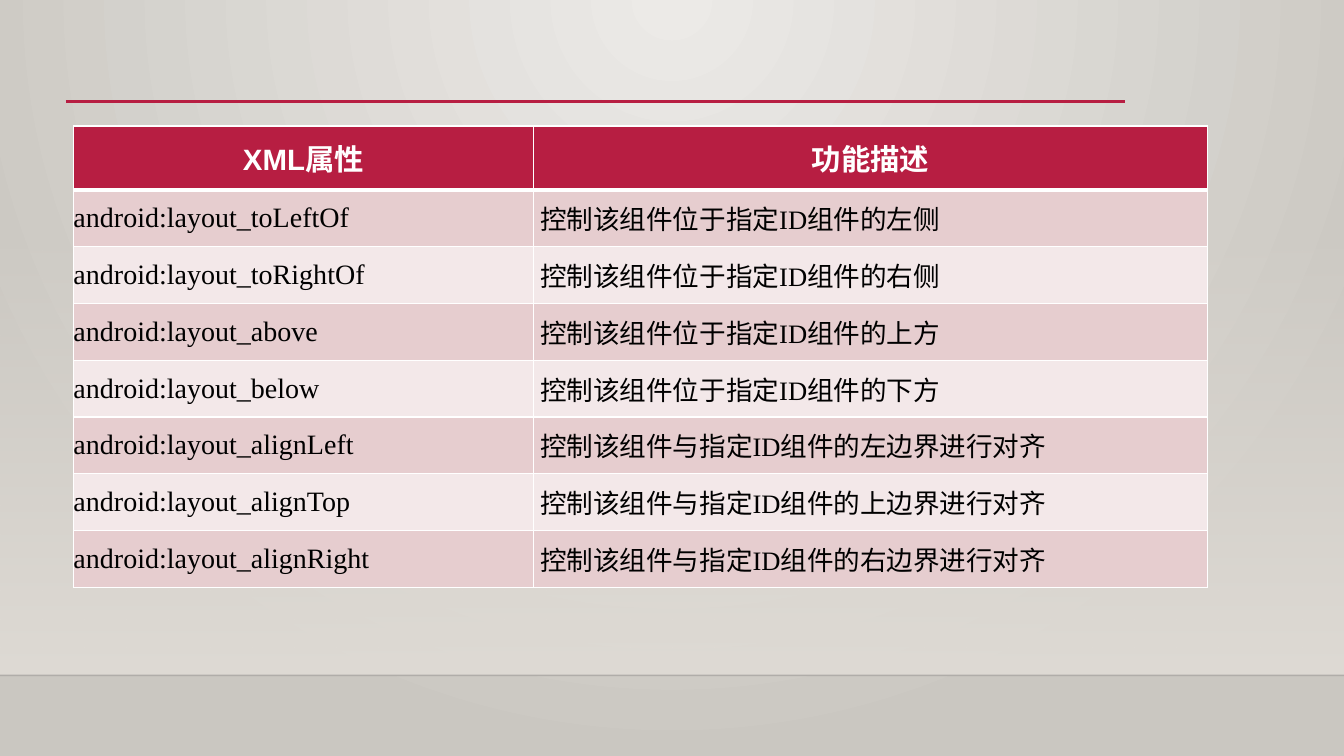
import pptx
import pptx.dml.color
import pptx.enum.shapes
import pptx.enum.text
import pptx.oxml
import pptx.oxml.ns
import pptx.util
from lxml import etree

Pt = pptx.util.Pt
qn = pptx.oxml.ns.qn
NAMESPACE = pptx.oxml.ns.nsdecls("a")
ALIGN = pptx.enum.text.PP_ALIGN


def set_colour(target, value):
    target.rgb = pptx.dml.color.RGBColor.from_string(value)


def replace_gradient(fill, parent, stops, direction):
    fill.gradient()
    stop_xml = "".join(
        f'<a:gs pos="{position}"><a:srgbClr val="{value}"><a:alpha val="{alpha}"/></a:srgbClr></a:gs>'
        for position, value, alpha in stops
    )
    gradient = pptx.oxml.parse_xml(
        f'<a:gradFill {NAMESPACE} rotWithShape="1"><a:gsLst>{stop_xml}</a:gsLst>{direction}</a:gradFill>'
    )
    old = next(parent.iter(qn("a:gradFill")))
    old.getparent().replace(old, gradient)


presentation = pptx.Presentation()
presentation.slide_width = Pt(960)
presentation.slide_height = Pt(540)
slide = presentation.slides.add_slide(presentation.slide_layouts[6])

replace_gradient(
    slide.background.fill,
    slide.element,
    [(0, "ECEAE7", 100000), (100000, "CAC7C1", 100000)],
    '<a:path path="circle"><a:fillToRect l="43000" t="0" r="43000" b="100000"/></a:path>',
)

wall = slide.shapes.add_shape(
    pptx.enum.shapes.MSO_SHAPE.RECTANGLE, Pt(0), Pt(159), Pt(960), Pt(323.4)
)
wall.shadow.inherit = False
wall.line.fill.background()
replace_gradient(
    wall.fill,
    wall.element,
    [(0, "DFDBD5", 0), (100000, "DFDBD5", 100000)],
    '<a:lin ang="5400000" scaled="0"/>',
)

for left, right, top, value, width, opacity in [
    (0, 960, 482.4, "000001", 1, 20000),
    (47, 803.5, 72.7, "B71E42", 2.5, 100000),
]:
    rule = slide.shapes.add_connector(
        pptx.enum.shapes.MSO_CONNECTOR.STRAIGHT, Pt(left), Pt(top), Pt(right), Pt(top)
    )
    set_colour(rule.line.color, value)
    rule.line.width = Pt(width)
    properties = rule.element.spPr
    etree.SubElement(properties, qn("a:effectLst"))
    colour = next(properties.iter(qn("a:srgbClr")))
    etree.SubElement(colour, qn("a:alpha")).set("val", str(opacity))

rows = [
    ("XML属性", "功能描述"),
    ("android:layout_toLeftOf", "控制该组件位于指定ID组件的左侧"),
    ("android:layout_toRightOf", "控制该组件位于指定ID组件的右侧"),
    ("android:layout_above", "控制该组件位于指定ID组件的上方"),
    ("android:layout_below", "控制该组件位于指定ID组件的下方"),
    ("android:layout_alignLeft", "控制该组件与指定ID组件的左边界进行对齐"),
    ("android:layout_alignTop", "控制该组件与指定ID组件的上边界进行对齐"),
    ("android:layout_alignRight", "控制该组件与指定ID组件的右边界进行对齐"),
]
table = slide.shapes.add_table(
    len(rows), 2, Pt(52.5), Pt(90), Pt(810), Pt(329.7)
).table
table.columns[0].width = Pt(328.5)
table.columns[1].width = Pt(481.5)

for row_index, texts in enumerate(rows):
    header = row_index == 0
    table.rows[row_index].height = Pt(45.5 if header else 40.6)
    for column_index, text in enumerate(texts):
        cell = table.cell(row_index, column_index)
        cell.margin_left = cell.margin_right = cell.margin_top = cell.margin_bottom = 0
        cell.vertical_anchor = pptx.enum.text.MSO_ANCHOR.MIDDLE
        cell.fill.solid()
        band = "E6CDCF" if row_index % 2 else "F3E8E9"
        set_colour(cell.fill.fore_color, "B71E42" if header else band)
        cell_properties = cell._tc.get_or_add_tcPr()
        for position, side in enumerate("LRTB"):
            width = Pt(3 if header and side == "B" else 1)
            border = pptx.oxml.parse_xml(
                f'<a:ln{side} {NAMESPACE} w="{width}"><a:solidFill>'
                f'<a:srgbClr val="FFFFFF"/></a:solidFill></a:ln{side}>'
            )
            cell_properties.insert(position, border)

        cell.text_frame.text = text
        paragraph = cell.text_frame.paragraphs[0]
        if header:
            paragraph.alignment = ALIGN.CENTER
        elif column_index == 1:
            paragraph.alignment = ALIGN.JUSTIFY
            paragraph_properties = paragraph._p.get_or_add_pPr()
            paragraph_properties.set("marL", str(Pt(5)))
            paragraph_properties.set("indent", "0")
        font = paragraph.runs[0].font
        font.name = "Arial" if header else "Times New Roman"
        font.size = Pt(21 if header else (20, 19)[column_index])
        font.bold = header
        set_colour(font.color, "FFFFFF" if header else "000000")

presentation.save("out.pptx")
